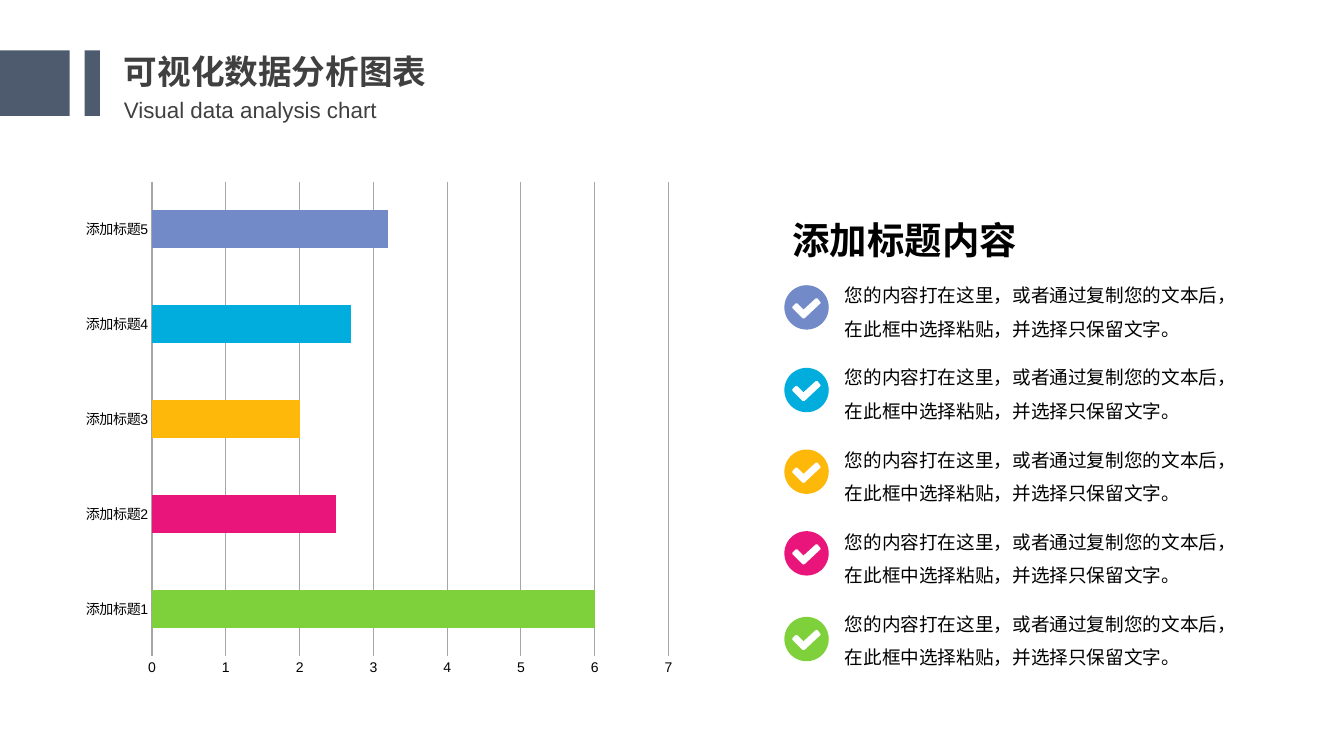
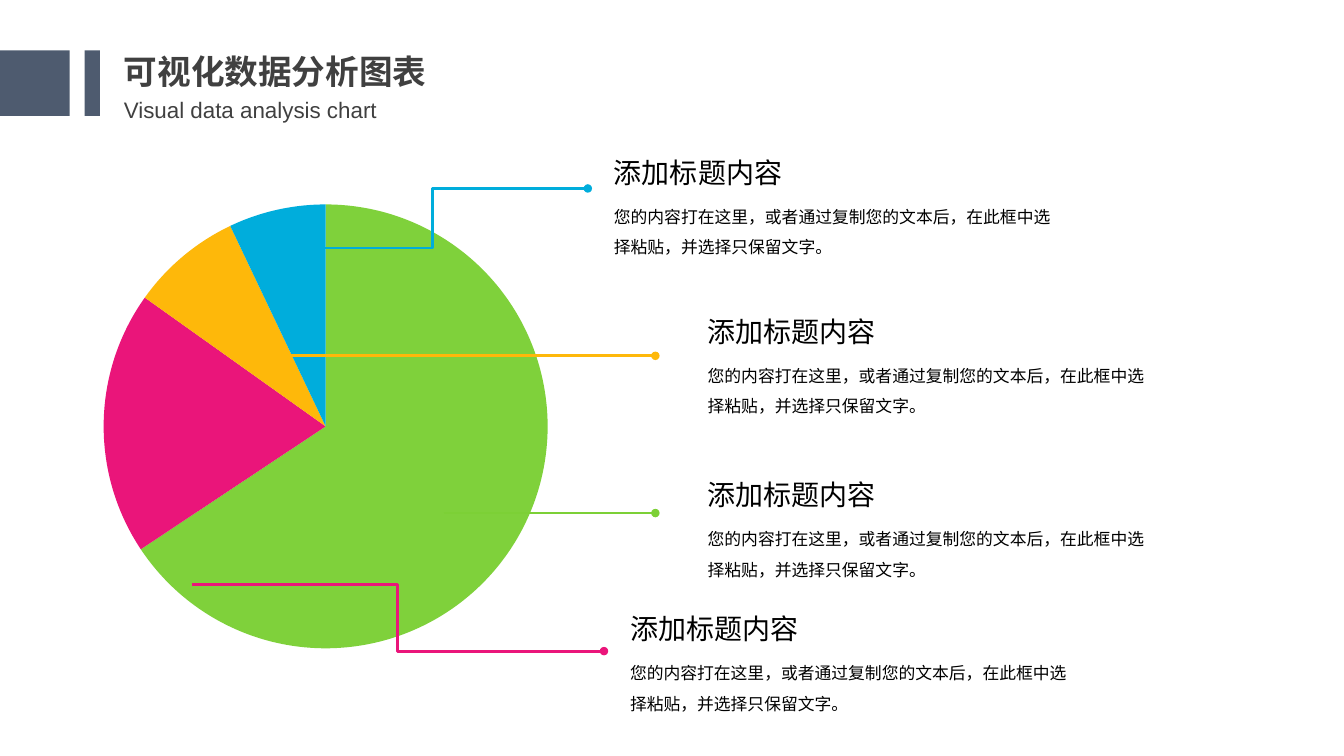
import math

import pptx
import pptx.chart.data
import pptx.dml.color
import pptx.enum.chart
import pptx.enum.lang
import pptx.enum.shapes
import pptx.enum.text
import pptx.oxml
import pptx.util
from pptx.util import Inches

# Colours
RGB = pptx.dml.color.RGBColor
SLATE = RGB(0x4E, 0x5B, 0x6F)
GRAY = RGB(0x40, 0x40, 0x40)
GRID = RGB(0xA6, 0xA6, 0xA6)
BLACK = RGB(0, 0, 0)
GREEN = RGB(0x7F, 0xD1, 0x3B)
LEAF = RGB(0x7C, 0xD0, 0x36)
PINK = RGB(0xEA, 0x15, 0x7A)
GOLD = RGB(0xFE, 0xB8, 0x0A)
CYAN = RGB(0x00, 0xAD, 0xDC)
BLUE = RGB(0x73, 0x8A, 0xC8)

# Shared wording
FONT = "Arial"
HEAD = "添加标题内容"
BODY = "您的内容打在这里，或者通过复制您的文本后，在此框中选择粘贴，并选择只保留文字。"


def add_text(slide, box, words, size, color=BLACK, bold=False, gap=None, wrap=True):
    frame = slide.shapes.add_textbox(*[Inches(n) for n in box]).text_frame
    frame.word_wrap = wrap
    frame.auto_size = pptx.enum.text.MSO_AUTO_SIZE.SHAPE_TO_FIT_TEXT
    para = frame.paragraphs[0]
    if gap:
        para.line_spacing = gap
    run = para.add_run()
    run.text = words
    run.font.name = FONT
    run.font.size = pptx.util.Pt(size)
    run.font.bold = bold
    run.font.color.rgb = color
    run.font.language_id = pptx.enum.lang.MSO_LANGUAGE_ID.SIMPLIFIED_CHINESE


def add_chart(slide, kind, box, names, vals, colors):
    data = pptx.chart.data.CategoryChartData()
    data.categories = names
    data.add_series("Series 1", vals)
    chart = slide.shapes.add_chart(kind, *[Inches(n) for n in box], data).chart
    chart.has_title = False
    chart.has_legend = False
    chart.font.name = FONT
    chart.font.size = pptx.util.Pt(10)
    chart.font.color.rgb = BLACK
    for i, color in enumerate(colors):
        fill = chart.plots[0].series[0].points[i].format.fill
        fill.solid()
        fill.fore_color.rgb = color
    return chart


deck = pptx.Presentation()
deck.slide_width = Inches(13.33)
deck.slide_height = Inches(7.5)

# Both slides: title, subtitle and two slate blocks
for _ in range(2):
    slide = deck.slides.add_slide(deck.slide_layouts[6])
    add_text(slide, (1.13, 0.38, 3.52, 0.54), "可视化数据分析图表", 24, GRAY, True, 1.2)
    add_text(slide, (1.13, 0.8, 2.82, 0.43), "Visual data analysis chart", 16, GRAY, gap=1.4)
    for left, width in ((0, 0.69), (0.84, 0.15)):
        block = slide.shapes.add_shape(
            pptx.enum.shapes.MSO_SHAPE.RECTANGLE,
            Inches(left), Inches(0.5), Inches(width), Inches(0.65))
        block.shadow.inherit = False
        block.fill.solid()
        block.fill.fore_color.rgb = SLATE
        block.line.fill.background()
bars, pie = deck.slides

# Slide 1: bar chart
KIND = pptx.enum.chart.XL_CHART_TYPE
chart = add_chart(
    bars, KIND.BAR_CLUSTERED, (0.73, 1.7, 6.06, 5.11),
    [f"添加标题{n}" for n in range(1, 6)], (6, 2.5, 2, 2.7, 3.2),
    (GREEN, PINK, GOLD, CYAN, BLUE))
chart.plots[0].gap_width = 150
chart.plots[0].vary_by_categories = False
for axis in (chart.category_axis, chart.value_axis):
    axis.major_tick_mark = pptx.enum.chart.XL_TICK_MARK.NONE
    axis.format.line.fill.background()
axis = chart.value_axis
axis.minimum_scale, axis.maximum_scale, axis.major_unit = 0, 7, 1
axis.major_gridlines.format.line.color.rgb = GRID
axis.major_gridlines.format.line.width = pptx.util.Pt(0.75)

# Slide 1: list, each item with a tick cut out of a disc
add_text(bars, (7.76, 1.88, 5.02, 0.69), HEAD, 26.7, bold=True, gap=1.5)
RAD = 0.22
STEPS = 60
disc = [(RAD + RAD * math.cos(2 * math.pi * n / STEPS),
         RAD + RAD * math.sin(2 * math.pi * n / STEPS)) for n in range(STEPS)]
tick = [(0.36, 0.17), (0.33, 0.13), (0.31, 0.13), (0.19, 0.24), (0.13, 0.18),
        (0.11, 0.18), (0.08, 0.21), (0.08, 0.23), (0.18, 0.33), (0.2, 0.33),
        (0.36, 0.18)]
items = ((2.83, BLUE), (3.65, CYAN), (4.46, GOLD), (5.27, PINK), (6.12, GREEN))
for i, (top, color) in enumerate(items):
    add_text(bars, (8.28, 2.66 + 0.815 * i, 4.05, 0.73), BODY, 13.3, gap=1.5)
    ring, mark = [[(Inches(7.78 + x), Inches(top + y)) for x, y in line]
                  for line in (disc, tick)]
    form = bars.shapes.build_freeform(*ring[0])
    form.add_line_segments(ring[1:], close=True)
    form.move_to(*mark[0])
    form.add_line_segments(mark[1:], close=True)
    icon = form.convert_to_shape()
    icon.shadow.inherit = False
    icon.fill.solid()
    icon.fill.fore_color.rgb = color
    icon.line.fill.background()

# Slide 2: pie chart
add_chart(pie, KIND.PIE, (0.32, 1.89, 5.82, 4.68), ("1", "2", "3", "4"),
          (65, 19, 8, 7), (GREEN, PINK, GOLD, CYAN))

# Slide 2: leader lines with a dot at the end
LINK = pptx.enum.shapes.MSO_CONNECTOR
leads = (
    (LINK.ELBOW, 2.75, 2.46, 5.83, 1.87, CYAN),
    (LINK.STRAIGHT, 4.4, 5.09, 6.5, 5.09, LEAF),
    (LINK.ELBOW, 1.9, 5.8, 5.99, 6.46, PINK),
    (LINK.STRAIGHT, 2.5, 3.53, 6.5, 3.53, GOLD),
)
SPACE = 'xmlns:a="http://schemas.openxmlformats.org/drawingml/2006/main"'
for kind, *ends, color in leads:
    lead = pie.shapes.add_connector(kind, *[Inches(n) for n in ends])
    lead.line.color.rgb = color
    lead.line.width = pptx.util.Pt(2)
    lead.line._get_or_add_ln().append(
        pptx.oxml.parse_xml(f'<a:tailEnd {SPACE} type="oval"/>'))
    lead._element.spPr.append(pptx.oxml.parse_xml(f"<a:effectLst {SPACE}/>"))

# Slide 2: captions
for left, top in ((5.99, 1.49), (6.92, 3.07), (6.92, 4.69), (6.15, 6.02)):
    add_text(pie, (left, top, 1.88, 0.44), HEAD, 20, wrap=False)
    add_text(pie, (left, top + 0.41, 4.62, 0.67), BODY, 12, gap=1.5)

deck.save("out.pptx")
